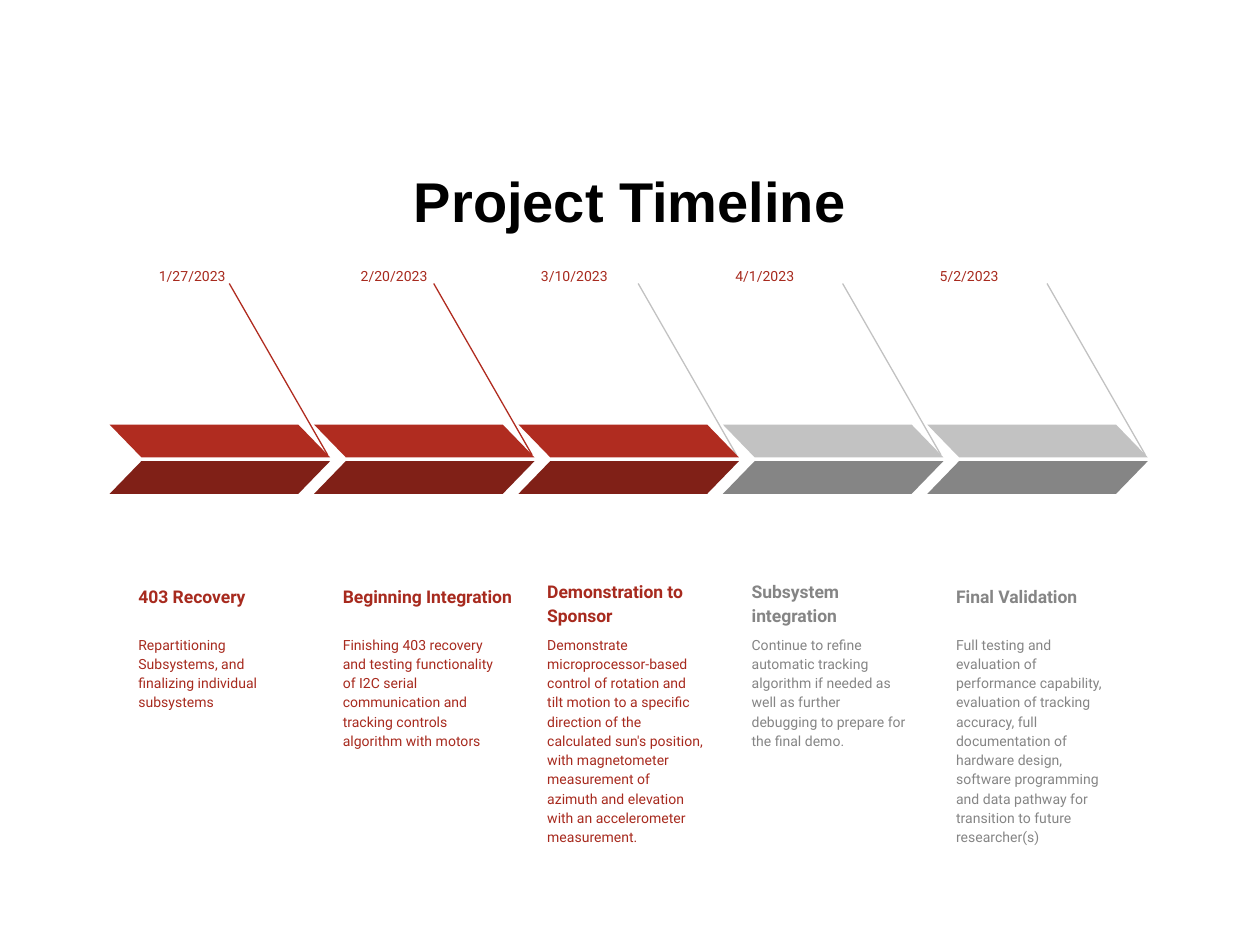
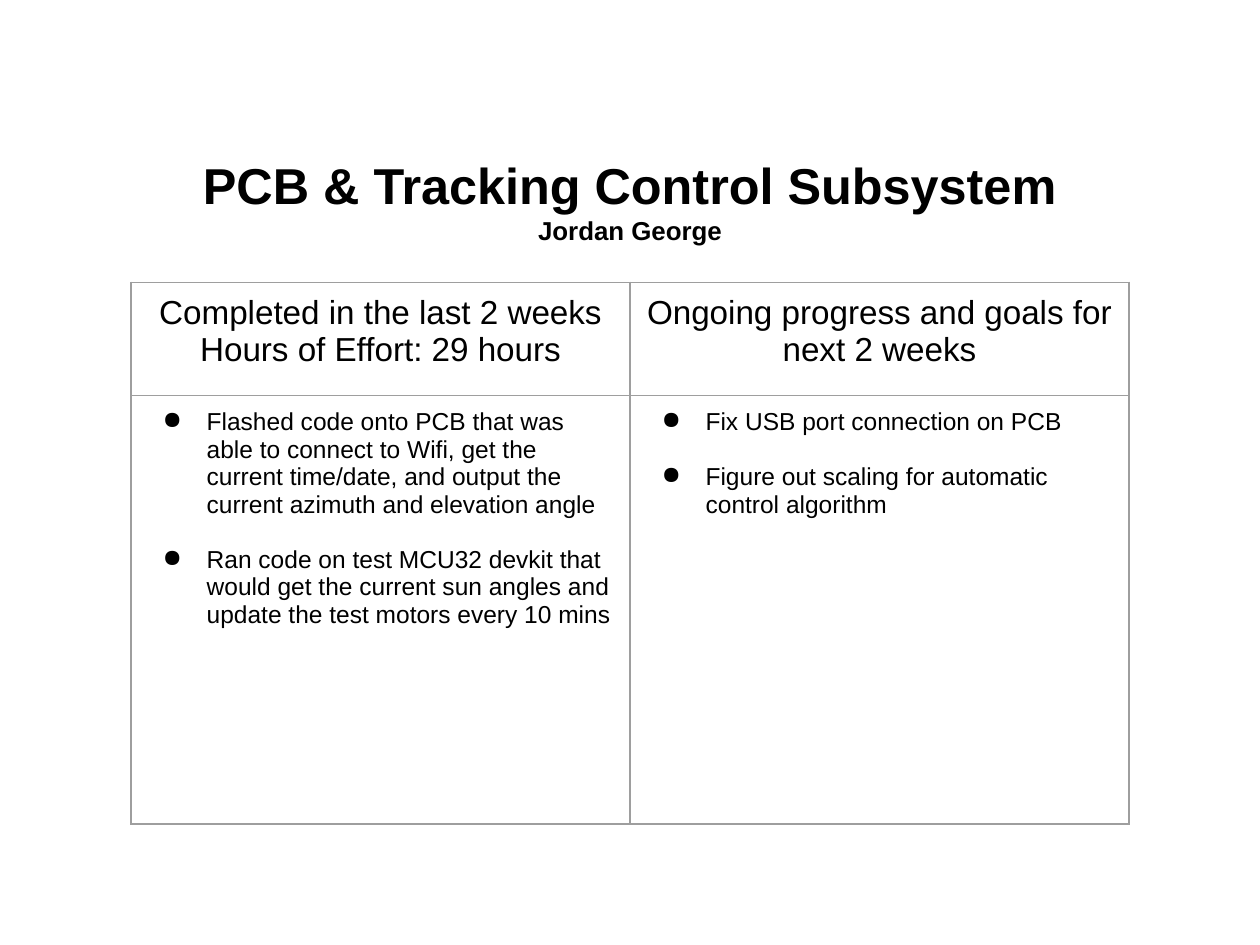
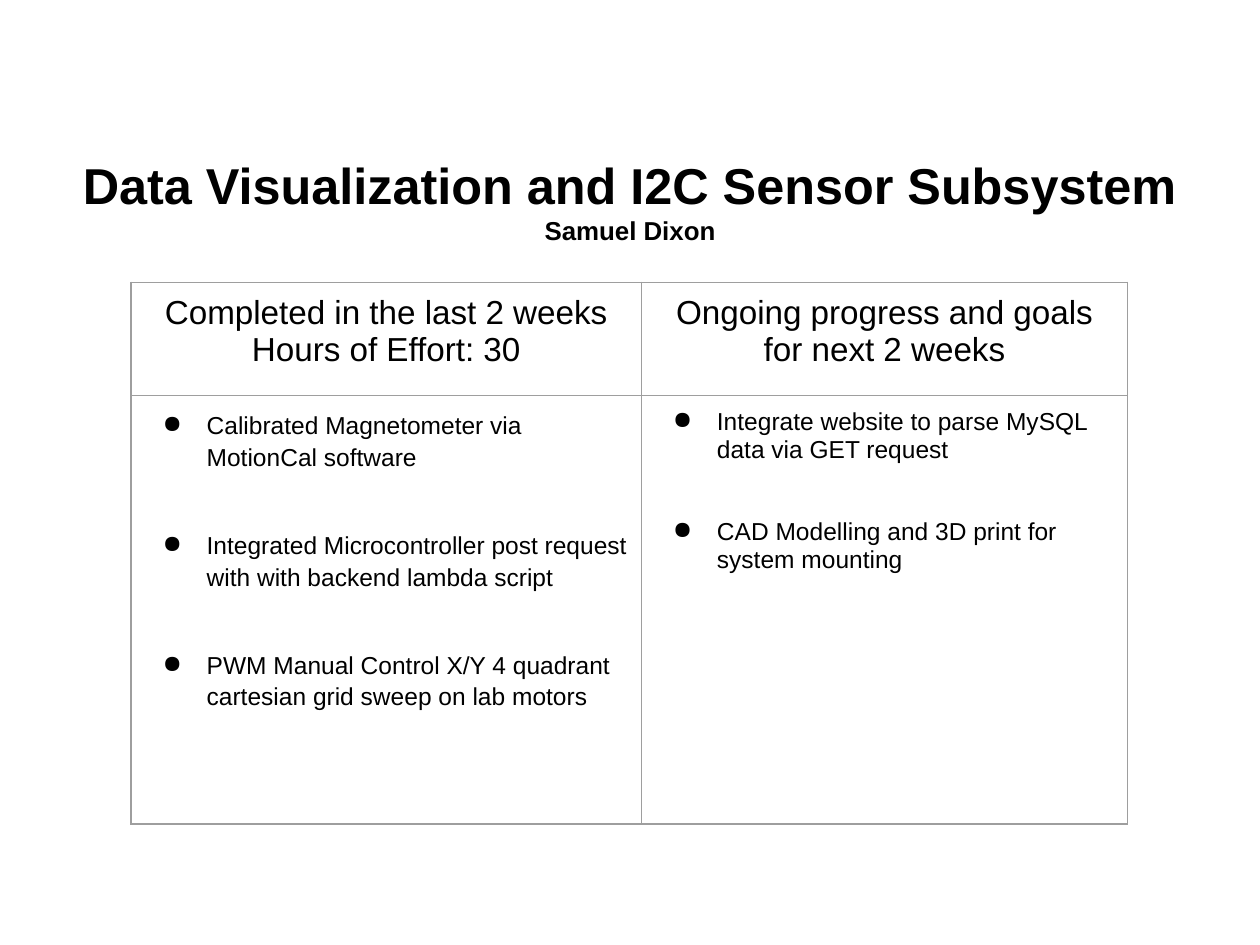
from dataclasses import dataclass

from lxml.etree import SubElement
from pptx import Presentation
from pptx.dml.color import RGBColor
from pptx.enum.shapes import MSO_CONNECTOR as Connector, MSO_SHAPE as Shape
from pptx.enum.text import MSO_ANCHOR as Anchor, PP_ALIGN as Align
from pptx.oxml import parse_xml
from pptx.oxml.ns import nsdecls, qn
from pptx.util import Inches, Pt

BLACK = RGBColor(0x00, 0x00, 0x00)
RED = RGBColor(0xB0, 0x2C, 0x20)
DARK_RED = RGBColor(0x80, 0x20, 0x17)
TEXT_RED = RGBColor(0xA7, 0x2A, 0x1E)
LIGHT_GREY = RGBColor(0xC2, 0xC2, 0xC2)
GREY = RGBColor(0x85, 0x85, 0x85)
BORDER_GREY = RGBColor(0x9E, 0x9E, 0x9E)

HEADING_FONT = "Arial"
TIMELINE_FONT = "Roboto"

FIRST_STAGE_LEFT = 0.87
LAST_STAGE_LEFT = 7.36


@dataclass
class Stage:
    date: str
    heading: str
    details: str
    done: bool = True
    line_color: RGBColor = RED
    date_align: Align = Align.LEFT
    date_offset: float = 0
    date_width: float = 1
    heading_top: float = 4.09
    heading_width: float = 1.44


STAGES = [
    Stage("1/27/2023", "403 Recovery",
          "Repartitioning Subsystems, and finalizing individual subsystems",
          date_align=Align.RIGHT, date_width=1.02),
    Stage("2/20/2023", "Beginning Integration",
          "Finishing 403 recovery and testing functionality of I2C serial "
          "communication and tracking controls algorithm with motors",
          date_align=Align.RIGHT, heading_width=1.6),
    Stage("3/10/2023", "Demonstration to Sponsor",
          "Demonstrate microprocessor-based control of rotation and tilt motion "
          "to a specific direction of the calculated sun's position, with "
          "magnetometer measurement of azimuth and elevation with an "
          "accelerometer measurement.",
          line_color=LIGHT_GREY, date_offset=0.08, date_width=1.05,
          heading_top=4.25),
    Stage("4/1/2023", "Subsystem integration",
          "Continue to refine automatic tracking algorithm if needed as well as "
          "further debugging to prepare for the final demo.",
          done=False, line_color=LIGHT_GREY, heading_top=4.25),
    Stage("5/2/2023", "Final Validation",
          "Full testing and evaluation of performance capability, evaluation of "
          "tracking accuracy, full documentation of hardware design, software "
          "programming and data pathway for transition to future researcher(s)",
          done=False, line_color=LIGHT_GREY),
]


@dataclass
class BulletList:
    items: list
    gap: float
    line_spacing: float = 1


class StatusDeck:
    """Holds the presentation, its shared style and the current page."""

    def __init__(self):
        self.deck = Presentation()
        self.deck.slide_width = Inches(10)
        self.deck.slide_height = Inches(7.5)
        self.page = None

    def add_page(self):
        self.page = self.deck.slides.add_slide(self.deck.slide_layouts[6])

    def add_span(self, para, text, size, font=HEADING_FONT, color=BLACK, bold=False):
        span = para.add_run()
        span.text = text
        span.font.size = Pt(size)
        span.font.name = font
        span.font.color.rgb = color
        span.font.bold = bold

    def add_paragraphs(self, frame, count):
        """Return the frame's first paragraph and enough new ones."""
        return [frame.paragraphs[0]] + [frame.add_paragraph() for _ in range(count - 1)]

    def add_title(self, *lines):
        """Add the centred title from (text, size) lines."""
        box = self.page.shapes.add_textbox(
            Inches(0.5), Inches(1.15), Inches(9), Inches(0.88))
        frame = box.text_frame
        frame.word_wrap = True
        frame.vertical_anchor = Anchor.MIDDLE
        for para, (text, size) in zip(self.add_paragraphs(frame, len(lines)), lines):
            para.alignment = Align.CENTER
            self.add_span(para, text, size, bold=True)

    def add_label(self, group, text, left, top, width, height, color,
                  size=8, bold=False, align=Align.LEFT, anchor=Anchor.TOP):
        box = group.shapes.add_textbox(
            Inches(left), Inches(top), Inches(width), Inches(height))
        frame = box.text_frame
        frame.word_wrap = True
        frame.vertical_anchor = anchor
        frame.margin_left = frame.margin_right = Inches(0.1)
        frame.margin_top = frame.margin_bottom = Inches(0.1)
        para = frame.paragraphs[0]
        para.alignment = align
        para.line_spacing = 1.15
        self.add_span(para, text, size, TIMELINE_FONT, color, bold)

    def add_line(self, group, start, end, color):
        line = group.shapes.add_connector(
            Connector.STRAIGHT, *(Inches(value) for value in start + end))
        line.line.color.rgb = color
        line.line.width = Pt(0.75)
        SubElement(line._element.spPr, qn("a:effectLst"))

    def add_arrow_half(self, group, left, top, color, flipped=False):
        half = group.shapes.add_shape(
            Shape.PARALLELOGRAM, Inches(left), Inches(top), Inches(1.75), Inches(0.26))
        half.adjustments[0] = 0.97
        half.shadow.inherit = False
        half.fill.solid()
        half.fill.fore_color.rgb = color
        half.line.fill.background()
        if flipped:
            half._element.spPr.xfrm.set("flipH", "1")

    def add_stage(self, stage, left):
        group = self.page.shapes.add_group_shape()
        upper, lower, text_color = (
            (RED, DARK_RED, TEXT_RED) if stage.done else (LIGHT_GREY, GREY, GREY))
        self.add_line(group, (left + 0.95, 2.25), (left + 1.73, 3.61), stage.line_color)
        self.add_arrow_half(group, left, 3.37, upper, flipped=True)
        self.add_arrow_half(group, left, 3.66, lower)
        text_left = left + 0.13
        self.add_label(group, stage.heading, text_left, stage.heading_top,
                       stage.heading_width, 0.82, text_color,
                       size=10, bold=True, anchor=Anchor.BOTTOM)
        self.add_label(group, stage.details, text_left, 4.93, 1.44, 1.36, text_color)
        self.add_label(group, stage.date, left + stage.date_offset, 2.03,
                       stage.date_width, 0.44, TEXT_RED, align=stage.date_align)

    def style_cell(self, cell):
        cell.margin_left = cell.margin_right = Inches(0.1)
        cell.margin_top = cell.margin_bottom = Inches(0.1)
        cell.fill.background()
        properties = cell._tc.get_or_add_tcPr()
        for index, side in enumerate(("lnL", "lnR", "lnT", "lnB")):
            properties.insert(index, parse_xml(
                f'<a:{side} {nsdecls("a")} w="{Pt(0.75)}"><a:solidFill>'
                f'<a:srgbClr val="{BORDER_GREY}"/></a:solidFill></a:{side}>'))

    def fill_header(self, cell, lines):
        for para, text in zip(self.add_paragraphs(cell.text_frame, len(lines)), lines):
            para.alignment = Align.CENTER
            self.add_span(para, text, 19)

    def fill_bullets(self, cell, bullets):
        paras = self.add_paragraphs(cell.text_frame, len(bullets.items))
        for index, (para, text) in enumerate(zip(paras, bullets.items)):
            properties = para._p.get_or_add_pPr()
            properties.set("marL", str(Inches(0.5)))
            properties.set("indent", str(Inches(-0.35)))
            color = SubElement(properties, qn("a:buClr"))
            SubElement(color, qn("a:srgbClr"), val=str(BLACK))
            SubElement(properties, qn("a:buChar"), char="●")
            para.line_spacing = bullets.line_spacing
            if index:
                para.space_before = Pt(bullets.gap)
            self.add_span(para, text, 14)

    def add_progress_table(self, widths, headers, bullet_lists):
        heights = (0.9, 3.4)
        table = self.page.shapes.add_table(
            2, 2, Inches(1.04), Inches(2.24),
            Inches(sum(widths)), Inches(sum(heights))).table
        table.first_row = table.horz_banding = False
        for row, height in zip(table.rows, heights):
            row.height = Inches(height)
        for index, width in enumerate(widths):
            table.columns[index].width = Inches(width)
            self.fill_header(table.cell(0, index), headers[index])
            self.fill_bullets(table.cell(1, index), bullet_lists[index])
        for cell in table.iter_cells():
            self.style_cell(cell)

    def add_timeline_page(self):
        self.add_page()
        self.add_title(("Project Timeline", 32))
        step = (LAST_STAGE_LEFT - FIRST_STAGE_LEFT) / (len(STAGES) - 1)
        for index, stage in enumerate(STAGES):
            self.add_stage(stage, FIRST_STAGE_LEFT + index * step)

    def add_subsystem_page(self, subsystem, owner, effort, widths, completed, ongoing):
        self.add_page()
        self.add_title((subsystem, 28.8), (owner, 14.8))
        headers = [
            ["Completed in the last 2 weeks", f"Hours of Effort: {effort}"],
            ["Ongoing progress and goals for next 2 weeks"],
        ]
        self.add_progress_table(widths, headers, [completed, ongoing])


def main():
    status = StatusDeck()
    status.add_timeline_page()
    status.add_subsystem_page(
        "PCB & Tracking Control Subsystem", "Jordan George", "29 hours", (3.96, 3.96),
        BulletList([
            "Flashed code onto PCB that was able to connect to Wifi, get the "
            "current time/date, and output the current azimuth and elevation angle",
            "Ran code on test MCU32 devkit that would get the current sun angles "
            "and update the test motors every 10 mins",
        ], gap=15.7),
        BulletList([
            "Fix USB port connection on PCB",
            "Figure out scaling for automatic control algorithm",
        ], gap=15.7))
    status.add_subsystem_page(
        "Data Visualization and I2C Sensor Subsystem", "Samuel Dixon", "30", (4.05, 3.86),
        BulletList([
            "Calibrated Magnetometer via MotionCal software",
            "Integrated Microcontroller post request with with backend lambda script",
            "PWM Manual Control X/Y 4 quadrant cartesian grid sweep on lab motors",
        ], gap=32.3, line_spacing=1.15),
        BulletList([
            "Integrate website to parse MySQL data via GET request",
            "CAD Modelling and 3D print for system mounting",
        ], gap=31.4))
    status.deck.save("out.pptx")


if __name__ == "__main__":
    main()
